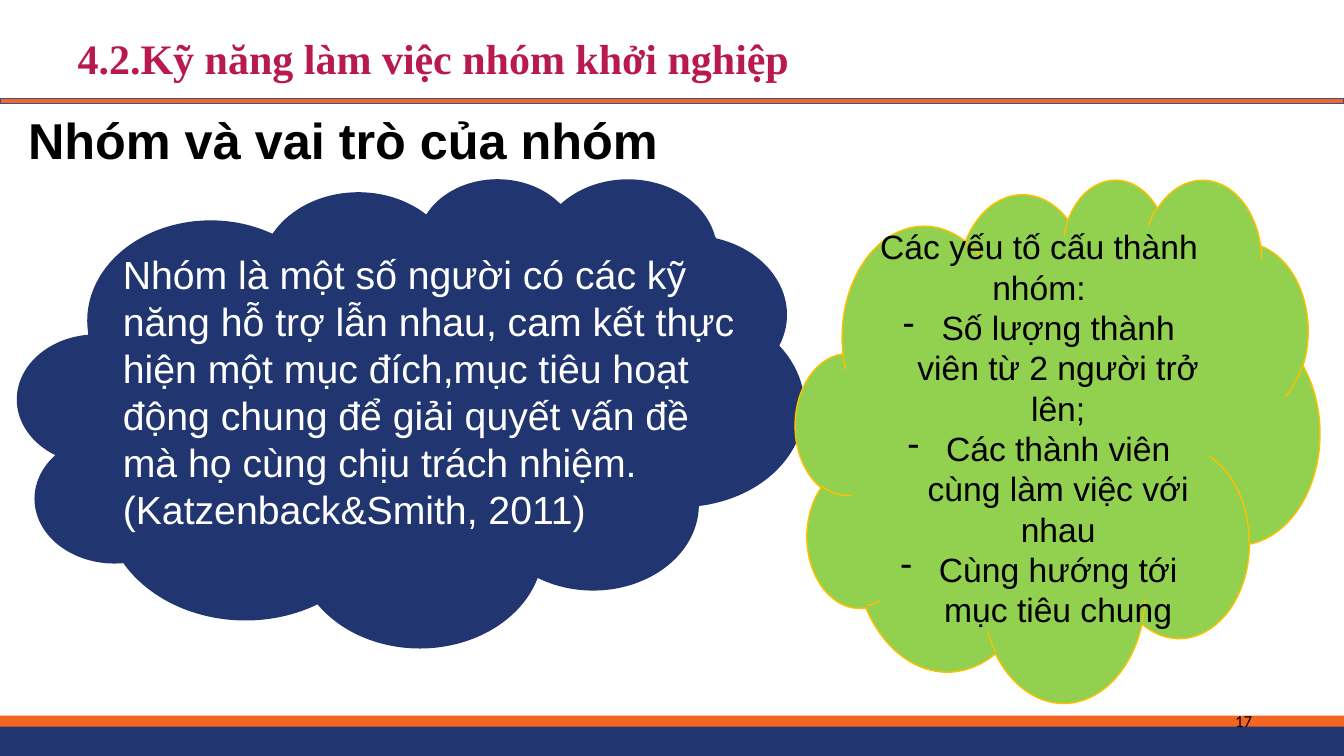
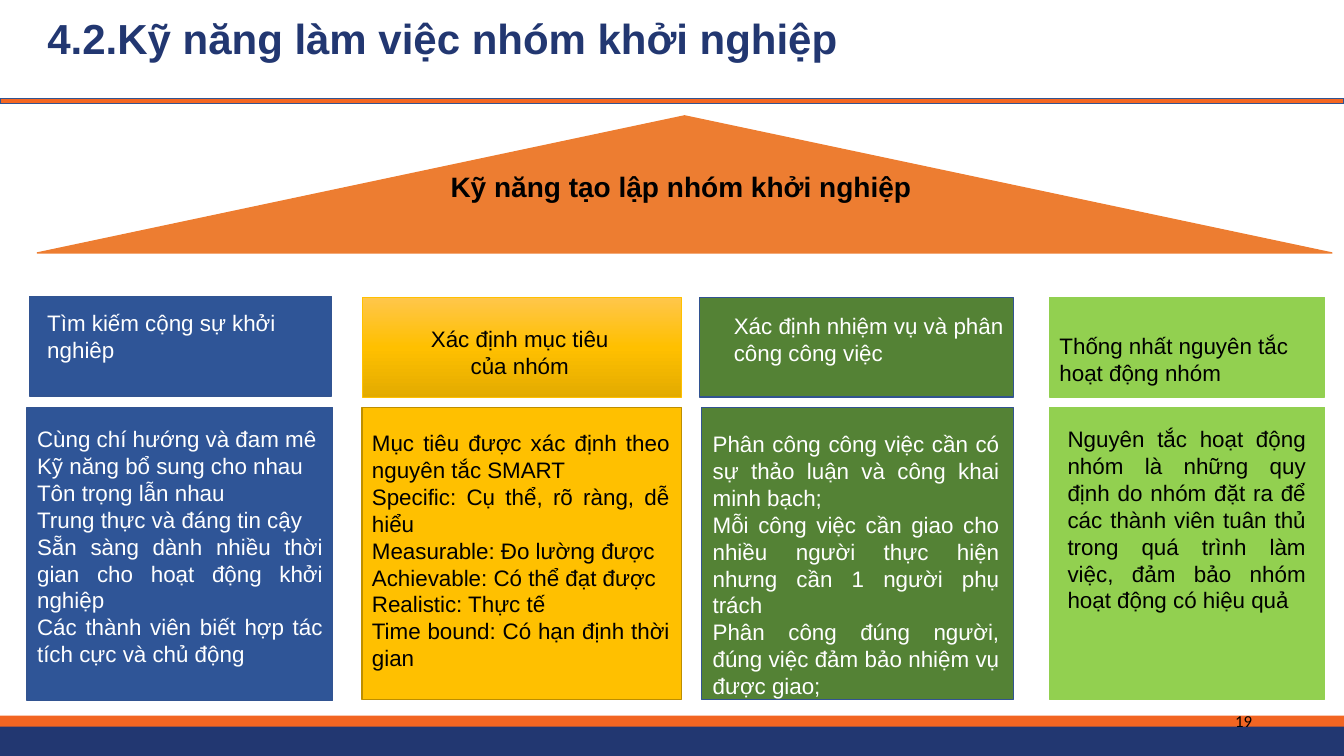
from copy import deepcopy

from lxml import etree
from pptx import Presentation
from pptx.dml.color import RGBColor
from pptx.enum.shapes import MSO_SHAPE
from pptx.enum.text import MSO_ANCHOR, MSO_AUTO_SIZE, PP_ALIGN
from pptx.oxml.ns import qn
from pptx.util import Inches, Pt

COLORS = {
    "band": "F26522", "rule": "F46622", "navy": "223771", "cloud": "213671",
    "edge": "325491", "blue": "2F5597", "gold": "FFC000", "gold edge": "BD8E00",
    "gold light": "FFC64B", "gold dark": "E3AB00", "green": "548235",
    "lime": "92D050", "orange": "ED7D31", "crimson": "B81A4D",
    "black": "000000", "white": "FFFFFF",
}
RGB = {name: RGBColor.from_string(value) for name, value in COLORS.items()}
TITLE = "4.2.Kỹ năng làm việc nhóm khởi nghiệp"


def add_block(page, kind, place, fill, line=None, line_width=1):
    block = page.shapes.add_shape(kind, *[Inches(length) for length in place])
    block.shadow.inherit = False
    block.fill.solid()
    block.fill.fore_color.rgb = RGB[fill]
    if line:
        block.line.color.rgb = RGB[line]
        block.line.width = Pt(line_width)
    else:
        block.line.fill.background()
    return block


def write(box, lines, size, color, align=PP_ALIGN.LEFT, bold=False, font="Arial",
          anchor=MSO_ANCHOR.TOP, inset=None, bullets_from=None):
    frame = box.text_frame
    frame.word_wrap = True
    frame.auto_size = MSO_AUTO_SIZE.NONE
    frame.vertical_anchor = anchor
    if inset is not None:
        frame.margin_left = frame.margin_right = Inches(inset)
        frame.margin_top = frame.margin_bottom = Inches(inset)
    for number, line in enumerate(lines):
        para = frame.add_paragraph() if number else frame.paragraphs[0]
        para.alignment = align
        if bullets_from is not None and number >= bullets_from:
            properties = para._p.get_or_add_pPr()
            properties.set("marL", str(Inches(0.38)))
            properties.set("indent", str(-Inches(0.38)))
            etree.SubElement(properties, qn("a:buChar")).set("char", "-")
        span = para.add_run()
        span.text = line
        span.font.size = Pt(size)
        span.font.name = font
        span.font.bold = bold
        span.font.color.rgb = RGB[color]


deck = Presentation()
deck.slide_width = Inches(13.33)
deck.slide_height = Inches(7.5)

# Shared frame: title, rule, footer bands and page number
pages = []
for number, left, top, color, font, inset in [
    ("17", 0.77, 0.38, "crimson", "Times New Roman", 0),
    ("19", 0.37, 0.13, "navy", "Arial", None),
]:
    page = deck.slides.add_slide(deck.slide_layouts[5])
    pages.append(page)
    for band_top, height, fill, line in [
        (7.1, 0.12, "band", None), (7.21, 0.3, "navy", None), (0.98, 0.05, "rule", "edge"),
    ]:
        add_block(page, MSO_SHAPE.RECTANGLE, (0, band_top, 13.33, height), fill, line)
    title = page.shapes.title
    title.left, title.top = Inches(left), Inches(top)
    title.width, title.height = Inches(8.82), Inches(1.01)
    write(title, [TITLE], 30, color, bold=True, font=font, inset=inset)
    title.text_frame.paragraphs[0].line_spacing = 0.9
    page_number = page.shapes.add_textbox(Inches(9.42), Inches(6.95), Inches(3), Inches(0.4))
    write(page_number, [number], 12, "black", PP_ALIGN.RIGHT, font="Calibri",
          anchor=MSO_ANCHOR.MIDDLE, inset=0)

team_page, skills_page = pages

# Team definition and its elements
heading = team_page.shapes.add_textbox(Inches(0.18), Inches(1.03), Inches(10.79), Inches(0.71))
write(heading, ["Nhóm và vai trò của nhóm"], 36, "black", bold=True)

add_block(team_page, MSO_SHAPE.CLOUD, (0.18, 1.77, 7.79, 4.64), "cloud", "cloud")
definition = team_page.shapes.add_textbox(Inches(1.12), Inches(2.43), Inches(6.32), Inches(2.93))
write(definition, [
    "Nhóm là một số người có các kỹ năng hỗ trợ lẫn nhau, cam kết thực hiện một mục "
    "đích,mục tiêu hoạt động chung để giải quyết vấn đề mà họ cùng chịu trách nhiệm.",
    "(Katzenback&Smith, 2011)",
], 28, "white")

elements = add_block(team_page, MSO_SHAPE.CLOUD, (7.89, 1.77, 5.2, 5.19), "lime", "gold")
write(elements, [
    "Các yếu tố cấu thành nhóm:",
    "Số lượng thành viên từ 2 người trở lên;",
    "Các thành viên cùng làm việc với nhau",
    "Cùng hướng tới mục tiêu chung",
], 24, "black", PP_ALIGN.CENTER, anchor=MSO_ANCHOR.MIDDLE, bullets_from=1)

# Roof over the four skills
add_block(skills_page, MSO_SHAPE.ISOSCELES_TRIANGLE, (0.37, 1.15, 12.84, 1.36), "orange", "orange")
roof_label = skills_page.shapes.add_textbox(Inches(4.15), Inches(1.63), Inches(5.21), Inches(0.44))
write(roof_label, ["Kỹ năng tạo lập nhóm khởi nghiệp"], 20, "black", PP_ALIGN.CENTER, bold=True)

# Four pillars: head and body blocks as (place, line), labels as (left, top, width)
pillars = [
    {
        "fill": "blue", "text": "white", "align": PP_ALIGN.LEFT,
        "head": ((0.29, 2.94, 3, 0.99), "edge"), "head label": (0.37, 3.02, 2.79),
        "body": ((0.27, 4.04, 3.03, 2.91), "edge"), "body label": (0.27, 4.17, 3.03),
        "name": "Tìm kiếm cộng sự khởi nghiêp",
        "details": [
            "Cùng chí hướng và đam mê",
            "Kỹ năng bổ sung cho nhau",
            "Tôn trọng lẫn nhau",
            "Trung thực và đáng tin cậy",
            "Sẵn sàng dành nhiều thời gian cho hoạt động khởi nghiệp",
            "Các thành viên biết hợp tác tích cực và chủ động",
        ],
    },
    {
        "fill": "gold", "text": "black", "align": PP_ALIGN.CENTER,
        "head": ((3.59, 2.95, 3.17, 0.99), "gold", 0.5), "head label": (4.15, 3.18, 2.01),
        "body": ((3.59, 4.04, 3.17, 2.9), "gold edge"), "body label": (3.59, 4.21, 3.15),
        "gradient": ["gold light", "gold", "gold dark"],
        "name": "Xác định mục tiêu của nhóm",
        "details": [
            "Mục tiêu được xác định theo nguyên tắc SMART",
            "Specific: Cụ thể, rõ ràng, dễ hiểu",
            "Measurable: Đo lường được",
            "Achievable: Có thể đạt được",
            "Realistic: Thực tế",
            "Time bound: Có hạn định thời gian",
        ],
    },
    {
        "fill": "green", "text": "white", "align": PP_ALIGN.LEFT,
        "head": ((6.94, 2.95, 3.11, 0.99), "edge"), "head label": (7.18, 3.05, 2.88),
        "body": ((6.96, 4.04, 3.09, 2.9), "edge"), "body label": (6.97, 4.22, 3.04),
        "name": "Xác định nhiệm vụ và phân công công việc",
        "details": [
            "Phân công công việc cần có sự thảo luận và công khai minh bạch;",
            "Mỗi công việc cần giao cho nhiều người thực hiện nhưng cần 1 người phụ trách",
            "Phân công đúng người, đúng việc đảm bảo nhiệm vụ được giao;",
        ],
    },
    {
        "fill": "lime", "text": "black", "align": PP_ALIGN.LEFT,
        "head": ((10.41, 2.95, 2.73, 0.99), "lime"), "head label": (10.41, 3.25, 2.63),
        "body": ((10.41, 4.04, 2.73, 2.9), "lime"), "body label": (10.49, 4.17, 2.56),
        "name": "Thống nhất nguyên tắc hoạt động nhóm",
        "details": [
            "Nguyên tắc hoạt động nhóm là những quy định do nhóm đặt ra để các thành viên "
            "tuân thủ trong quá trình làm việc, đảm bảo nhóm hoạt động có hiệu quả",
        ],
    },
]
for pillar in pillars:
    for part, lines, align, height in [
        ("head", [pillar["name"]], pillar["align"], 0.64),
        ("body", pillar["details"], PP_ALIGN.JUSTIFY, 2.75),
    ]:
        place, *outline = pillar[part]
        block = add_block(skills_page, MSO_SHAPE.RECTANGLE, place, pillar["fill"], *outline)
        if part == "head" and "gradient" in pillar:
            block.fill.gradient()
            block.fill.gradient_angle = 270
            stop_list = block._element.spPr.find(".//" + qn("a:gsLst"))
            stop_list.insert(1, deepcopy(stop_list[0]))
            for index, stop in enumerate(block.fill.gradient_stops):
                stop.position = index / 2
                stop.color.rgb = RGB[pillar["gradient"][index]]
        left, top, width = pillar[part + " label"]
        label = skills_page.shapes.add_textbox(
            Inches(left), Inches(top), Inches(width), Inches(height))
        write(label, lines, 16, pillar["text"], align)

deck.save("out.pptx")
